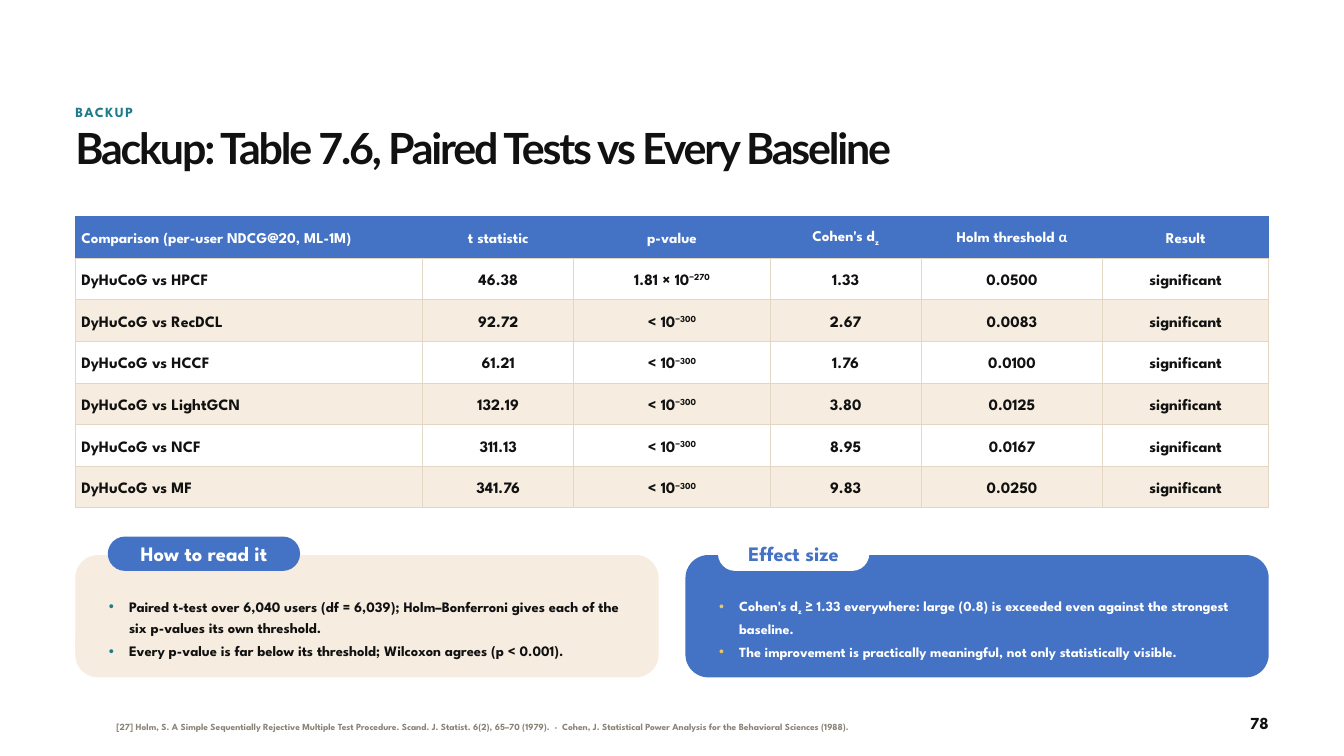
from dataclasses import dataclass

from lxml import etree
from pptx import Presentation
from pptx.dml.color import RGBColor
from pptx.enum.shapes import MSO_SHAPE
from pptx.enum.text import MSO_ANCHOR, MSO_AUTO_SIZE, PP_ALIGN
from pptx.oxml.ns import qn
from pptx.util import Inches, Pt

LEFT, CENTER, RIGHT = PP_ALIGN.LEFT, PP_ALIGN.CENTER, PP_ALIGN.RIGHT
TOP, MIDDLE = MSO_ANCHOR.TOP, MSO_ANCHOR.MIDDLE
ROUNDED = MSO_SHAPE.ROUNDED_RECTANGLE
TWO_CONTENT = 3


@dataclass(frozen=True)
class Theme:
    body: str = "League Spartan"
    heading: str = "Lato"
    greek: str = "Calibri"
    ink: str = "111111"
    white: str = "FFFFFF"
    blue: str = "4472C4"
    teal: str = "1F7A8C"
    cream: str = "F6ECDF"
    rule: str = "E3D6C4"
    gold: str = "ECC665"
    muted: str = "8A8378"
    title_size: float = 46
    tab_size: float = 22
    page_size: float = 18
    cell_size: float = 17
    header_size: float = 16
    kicker_size: float = 15
    source_size: float = 10


THEME = Theme()
BASELINES = {"sub": "-25000", "super": "30000"}

# Rich text is a list of pieces: a string, or (string, "sub" | "super" | "greek").
KICKER = "BACKUP"
TITLE = "Backup: Table 7.6, Paired Tests vs Every Baseline"
PAGE = "78"
SOURCE = ("[27] Holm, S. A Simple Sequentially Rejective Multiple Test Procedure. "
          "Scand. J. Statist. 6(2), 65–70 (1979).  ·  Cohen, J. Statistical Power "
          "Analysis for the Behavioral Sciences (1988).")
COLUMNS = [
    (5.17, ["Comparison (per-user NDCG@20, ML-1M)"]),
    (2.25, ["t statistic"]),
    (2.92, ["p-value"]),
    (2.25, ["Cohen's d", ("z", "sub")]),
    (2.7, ["Holm threshold ", ("α", "greek")]),
    (2.47, ["Result"]),
]
# baseline, t, p-value before exponent, exponent, effect size, Holm threshold
TESTS = [
    ("HPCF", "46.38", "1.81 × 10", "−270", "1.33", "0.0500"),
    ("RecDCL", "92.72", "< 10", "−300", "2.67", "0.0083"),
    ("HCCF", "61.21", "< 10", "−300", "1.76", "0.0100"),
    ("LightGCN", "132.19", "< 10", "−300", "3.80", "0.0125"),
    ("NCF", "311.13", "< 10", "−300", "8.95", "0.0167"),
    ("MF", "341.76", "< 10", "−300", "9.83", "0.0250"),
]
# Each point is (line spacing, pieces)
CARDS = [
    dict(heading="How to read it", tab_width=2.83, fill=THEME.cream, tab=THEME.blue,
         tab_ink=THEME.white, ink=THEME.ink, bullet=THEME.teal, size=15.5, points=[
             (21.7, ["Paired t-test over 6,040 users (df = 6,039); Holm–Bonferroni "
                     "gives each of the six p-values its own threshold."]),
             (21.7, ["Every p-value is far below its threshold; Wilcoxon agrees "
                     "(p < 0.001)."])]),
    dict(heading="Effect size", tab_width=2.22, fill=THEME.blue, tab=THEME.white,
         tab_ink=THEME.blue, ink=THEME.white, bullet=THEME.gold, size=15, points=[
             (22.3, ["Cohen's d", ("z", "sub"), " ≥ 1.33 everywhere: large (0.8) is "
                     "exceeded even against the strongest baseline."]),
             (21.1, ["The improvement is practically meaningful, not only "
                     "statistically visible."])]),
]

MARGIN, CONTENT_WIDTH = 1.12, 17.75
ROW_HEIGHT = 0.62
CARD_WIDTH, CARD_HEIGHT, CARD_TOP, CARD_GAP = 8.68, 1.82, 8.26, 0.4
CARD_INSET = 0.5


def write(paragraph, pieces, size, color, spacing, font=THEME.body, align=LEFT, tracking=0):
    paragraph.alignment = align
    paragraph.line_spacing = Pt(spacing)
    for piece in pieces:
        text, kind = (piece, None) if isinstance(piece, str) else piece
        run = paragraph.add_run()
        run.text = text
        run.font.size, run.font.bold = Pt(size), True
        run.font.name = THEME.greek if kind == "greek" else font
        run.font.color.rgb = RGBColor.from_string(color)
        properties = run.font._element
        if kind in BASELINES:
            properties.set("baseline", BASELINES[kind])
        if tracking:
            properties.set("spc", str(round(tracking * 100)))


def prepare_frame(frame, anchor=TOP, side=0):
    frame.word_wrap = True
    frame.auto_size = MSO_AUTO_SIZE.NONE
    frame.vertical_anchor = anchor
    frame.margin_left = frame.margin_right = Inches(side)
    frame.margin_top = frame.margin_bottom = 0
    return frame


def place(shape, *box):
    shape.left, shape.top, shape.width, shape.height = map(Inches, box)


def add_label(slide, box, text, *style, anchor=TOP, **options):
    label = slide.shapes.add_textbox(*map(Inches, box))
    frame = prepare_frame(label.text_frame, anchor)
    write(frame.paragraphs[0], [text], *style, **options)


def add_rounded(slide, box, fill, adjustment, line=None):
    shape = slide.shapes.add_shape(ROUNDED, *map(Inches, box))
    shape.shadow.inherit = False
    shape.adjustments[0] = adjustment
    shape.fill.solid()
    shape.fill.fore_color.rgb = RGBColor.from_string(fill)
    if line:
        shape.line.color.rgb = RGBColor.from_string(line)
        shape.line.width = Pt(2.25)
    else:
        shape.line.fill.background()
    return shape


def add_color(parent, color):
    etree.SubElement(parent, qn("a:srgbClr")).set("val", color)


def add_bullet(paragraph, color):
    properties = paragraph._p.get_or_add_pPr()
    properties.set("marL", str(Inches(0.3)))
    properties.set("indent", str(-Inches(0.3)))
    add_color(etree.SubElement(properties, qn("a:buClr")), color)
    etree.SubElement(properties, qn("a:buChar")).set("char", "•")


def format_cell(cell, fill, border):
    cell.vertical_anchor = MIDDLE
    cell.margin_left = cell.margin_right = Inches(0.09)
    cell.margin_top = cell.margin_bottom = Inches(0.05)
    properties = cell._tc.get_or_add_tcPr()
    for side in ("a:lnL", "a:lnR", "a:lnT", "a:lnB"):
        edge = etree.SubElement(properties, qn(side), w=str(Pt(1)))
        add_color(etree.SubElement(edge, qn("a:solidFill")), border)
    cell.fill.solid()
    cell.fill.fore_color.rgb = RGBColor.from_string(fill)


def add_results(slide):
    rows = [[heading for _, heading in COLUMNS]]
    for baseline, t, p, exponent, effect, threshold in TESTS:
        rows.append([[f"DyHuCoG vs {baseline}"], [t], [p, (exponent, "super")],
                     [effect], [threshold], ["significant"]])
    table = slide.shapes.add_table(
        len(rows), len(COLUMNS), Inches(MARGIN), Inches(3.22),
        Inches(CONTENT_WIDTH), Inches(ROW_HEIGHT * len(rows))).table
    table.horz_banding = False
    for column, (width, _) in zip(table.columns, COLUMNS):
        column.width = Inches(width)
    for r, row in enumerate(rows):
        if r == 0:
            fill, border, ink, size = THEME.blue, THEME.blue, THEME.white, THEME.header_size
        else:
            fill = THEME.white if r % 2 else THEME.cream
            border, ink, size = THEME.rule, THEME.ink, THEME.cell_size
        for c, pieces in enumerate(row):
            cell = table.cell(r, c)
            format_cell(cell, fill, border)
            write(cell.text_frame.paragraphs[0], pieces, size, ink, size * 1.3,
                  align=CENTER if c else LEFT)


def add_card(slide, left, card, body):
    add_rounded(slide, (left, CARD_TOP, CARD_WIDTH, CARD_HEIGHT), card["fill"], 0.187)
    inner = left + CARD_INSET
    tab = add_rounded(slide, (inner, 8, card["tab_width"], 0.48), card["tab"], 0.5, card["tab"])
    frame = prepare_frame(tab.text_frame, MIDDLE, 0.05)
    write(frame.paragraphs[0], [card["heading"]], THEME.tab_size, card["tab_ink"], 26.4,
          align=CENTER)
    place(body, inner, 8.86, 7.72, 1.02)
    tab.element.addnext(body.element)  # the list sits in front of its card
    frame = prepare_frame(body.text_frame)
    for i, (spacing, pieces) in enumerate(card["points"]):
        paragraph = frame.add_paragraph() if i else frame.paragraphs[0]
        add_bullet(paragraph, card["bullet"])
        paragraph.space_before = Pt(3.9 if i else 0)
        write(paragraph, pieces, card["size"], card["ink"], spacing)


def main():
    deck = Presentation()
    deck.slide_width, deck.slide_height = Inches(20), Inches(11.25)
    slide = deck.slides.add_slide(deck.slide_layouts[TWO_CONTENT])
    title, *bodies = slide.placeholders
    place(title, MARGIN, 1.88, CONTENT_WIDTH, 0.8)
    write(prepare_frame(title.text_frame).paragraphs[0], [TITLE], THEME.title_size, THEME.ink,
          50.6, font=THEME.heading, tracking=-2.3)
    add_label(slide, (MARGIN, 1.52, 14.15, 0.36), KICKER, THEME.kicker_size, THEME.teal, 20,
              tracking=1.6)
    add_label(slide, (1.73, 10.5, 15.85, 0.62), SOURCE, THEME.source_size, THEME.muted, 12,
              anchor=MIDDLE)
    add_label(slide, (17.68, 10.6, 1.2, 0.36), PAGE, THEME.page_size, THEME.ink, 22, align=RIGHT)
    add_results(slide)
    for i, (card, body) in enumerate(zip(CARDS, bodies)):
        add_card(slide, MARGIN + i * (CARD_WIDTH + CARD_GAP), card, body)
    deck.save("out.pptx")


if __name__ == "__main__":
    main()
